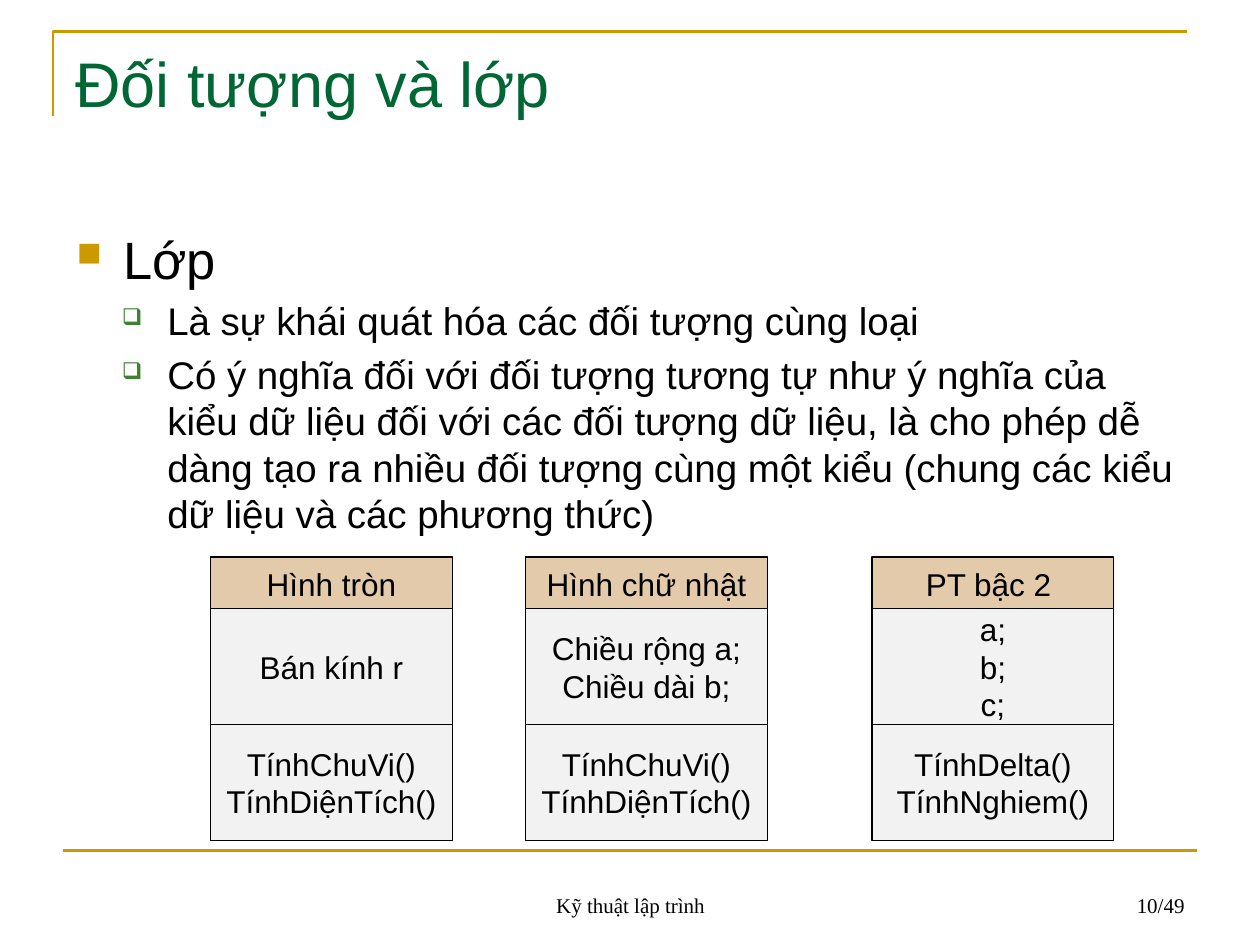
import pptx
import pptx.dml.color
import pptx.enum.shapes
import pptx.enum.text
import pptx.oxml
import pptx.oxml.ns
import pptx.util

Inches = pptx.util.Inches
Pt = pptx.util.Pt
ALIGN = pptx.enum.text.PP_ALIGN
ANCHOR = pptx.enum.text.MSO_ANCHOR
GOLD, GREEN, BLACK = "CC9900", "006633", "000000"


def rgb(value):
    return pptx.dml.color.RGBColor.from_string(value)


def write(tf, lines, size, color=BLACK, name="Arial", **paragraph_format):
    """Fill a text frame with one paragraph per line, all in one format."""
    for i, line in enumerate(lines):
        p = tf.paragraphs[0] if i == 0 else tf.add_paragraph()
        for key, value in paragraph_format.items():
            setattr(p, key, value)
        r = p.add_run()
        r.text = line
        for key, value in {"name": name, "size": Pt(size)}.items():
            setattr(r.font, key, value)
        r.font.color.rgb = rgb(color)


prs = pptx.Presentation()
prs.slide_width, prs.slide_height = Inches(10), Inches(7.5)
s = prs.slides.add_slide(prs.slide_layouts[6])

# Gold corner around the title and rule above the footer
corner = s.shapes.build_freeform(Inches(0.42), Inches(0.92))
corner.add_line_segments(
    [(Inches(0.42), Inches(0.25)), (Inches(9.42), Inches(0.25))], close=False)
frame = corner.convert_to_shape()
frame.shadow.inherit = False
frame.fill.background()
rule = s.shapes.add_connector(
    pptx.enum.shapes.MSO_CONNECTOR.STRAIGHT,
    Inches(0.5), Inches(6.75), Inches(9.5), Inches(6.75))
rule._element.spPr.append(pptx.oxml.parse_xml(
    "<a:effectLst %s/>" % pptx.oxml.ns.nsdecls("a")))
for sp in (frame, rule):
    sp.line.color.rgb = rgb(GOLD)
    sp.line.width = Pt(1.5)

# Title and footer
serif = {"size": 12, "name": "Times New Roman"}
texts = [
    ((0.5, 0.3, 9, 1.25), "Đối tượng và lớp", ANCHOR.TOP,
     {"size": 36, "color": GREEN}),
    ((3.42, 6.83, 3.17, 0.5), "Kỹ thuật lập trình", ANCHOR.BOTTOM,
     {**serif, "alignment": ALIGN.CENTER}),
    ((7.17, 6.83, 2.33, 0.5), "10/49", ANCHOR.BOTTOM,
     {**serif, "alignment": ALIGN.RIGHT}),
]
for box, text, anchor, style in texts:
    tf = s.shapes.add_textbox(*map(Inches, box)).text_frame
    tf.word_wrap = True
    tf.vertical_anchor = anchor
    write(tf, [text], **style)

# Bulleted body
top = {"level": 0, "size": 30, "before": 6, "left": 0.38, "indent": -0.37,
       "bullet": "■", "color": GOLD, "percent": 65}
sub = {"level": 1, "size": 22, "before": 4.4, "left": 0.73, "indent": -0.36,
       "bullet": "❑", "color": "3B812F", "percent": 60}
body = [
    (top, "Lớp"),
    (sub, "Là sự khái quát hóa các đối tượng cùng loại"),
    (sub, "Có ý nghĩa đối với đối tượng tương tự như ý nghĩa của kiểu dữ liệu "
          "đối với các đối tượng dữ liệu, là cho phép dễ dàng tạo ra nhiều đối "
          "tượng cùng một kiểu (chung các kiểu dữ liệu và các phương thức)"),
]
tf = s.shapes.add_textbox(
    Inches(0.5), Inches(1.75), Inches(9), Inches(4.95)).text_frame
tf.word_wrap = True
write(tf, [text for _, text in body], 22)
for p, (style, _) in zip(tf.paragraphs, body):
    p.level = style["level"]
    p.space_before = Pt(style["before"])
    p.runs[0].font.size = Pt(style["size"])
    pPr = p._p.get_or_add_pPr()
    pPr.set("marL", str(Inches(style["left"])))
    pPr.set("indent", str(Inches(style["indent"])))
    for xml in ('<a:buClr {}><a:srgbClr val="%s"/></a:buClr>' % style["color"],
                '<a:buSzPct {} val="%d"/>' % (style["percent"] * 1000),
                '<a:buChar {} char="%s"/>' % style["bullet"]):
        pPr.append(pptx.oxml.parse_xml(xml.format(pptx.oxml.ns.nsdecls("a"))))

# Class boxes: name, attributes, methods
shape_methods = ["TínhChuVi()", "TínhDiệnTích()"]
classes = [
    (1.67, [["Hình tròn"], ["Bán kính r"], shape_methods]),
    (4.17, [["Hình chữ nhật"], ["Chiều rộng a;", "Chiều dài b;"],
            shape_methods]),
    (6.92, [["PT bậc 2 "], ["a;", "b;", "c;"],
            ["TínhDelta()", "TínhNghiem()"]]),
]
rows = [(4.42, 0.42, "E2CAAA"), (4.83, 0.92, "F2F2F2"), (5.75, 0.92, "F2F2F2")]
for x, parts in classes:
    for (y, height, fill), lines in zip(rows, parts):
        sp = s.shapes.add_shape(
            pptx.enum.shapes.MSO_SHAPE.RECTANGLE,
            Inches(x), Inches(y), Inches(1.92), Inches(height))
        sp.shadow.inherit = False
        sp.fill.solid()
        sp.fill.fore_color.rgb = rgb(fill)
        sp.line.color.rgb = rgb(BLACK)
        sp.line.width = Pt(0.75)
        tf = sp.text_frame
        tf.word_wrap = False
        tf.vertical_anchor = ANCHOR.MIDDLE
        write(tf, lines, 18, alignment=ALIGN.CENTER)

prs.save("out.pptx")
